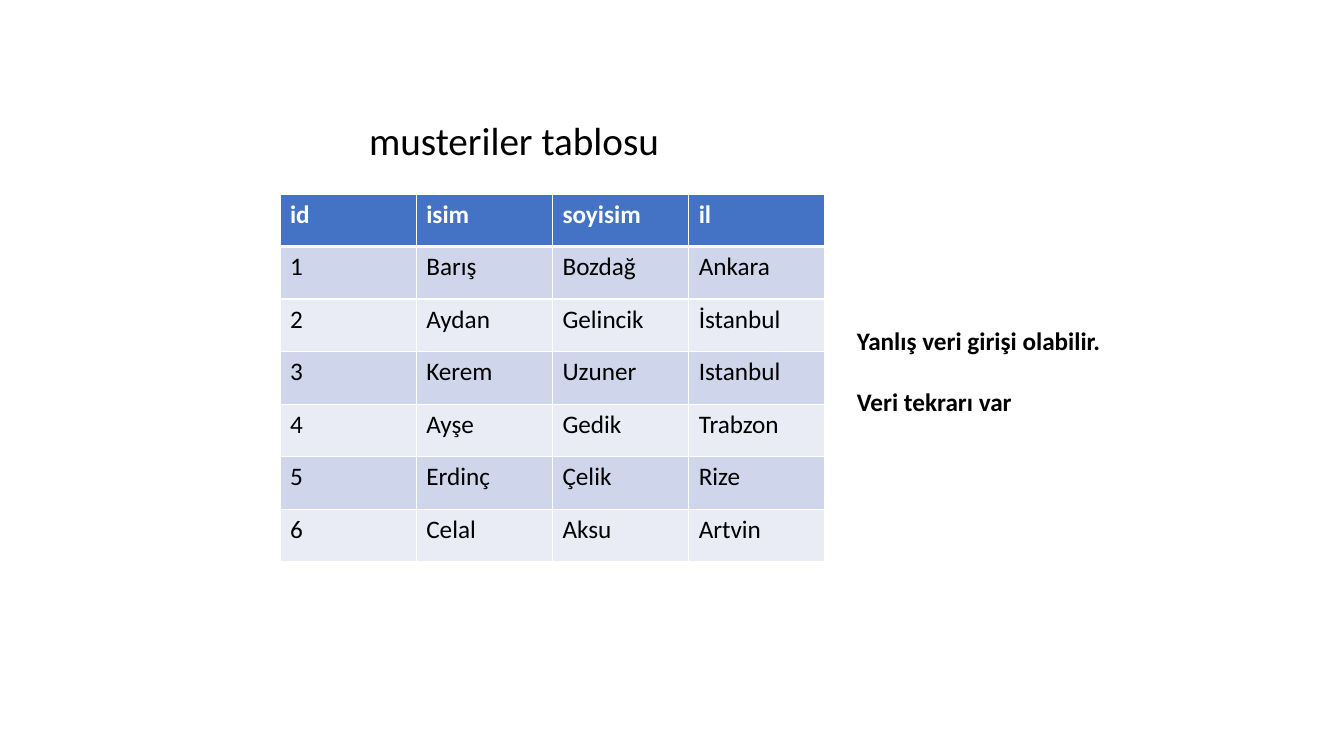
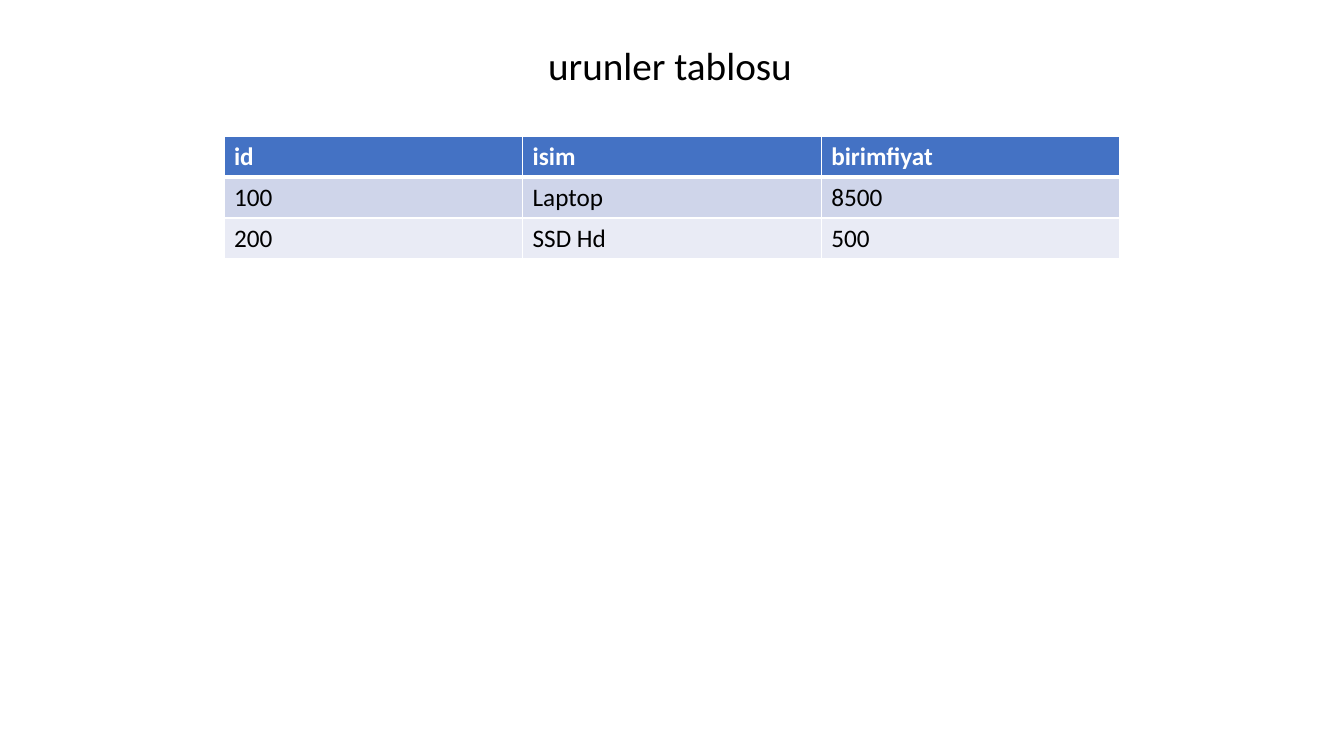
from pptx import Presentation
from pptx.dml.color import RGBColor
from pptx.enum.text import MSO_ANCHOR, MSO_AUTO_SIZE, PP_ALIGN
from pptx.oxml import parse_xml
from pptx.oxml.ns import nsdecls
from pptx.util import Pt

SLIDE_WIDTH, SLIDE_HEIGHT = 1344, 756
EMU_PER_PX = 12192000 / SLIDE_WIDTH
FONT = "Calibri"
BLACK, WHITE, HEADER_BLUE = "000000", "FFFFFF", "4472C4"
BANDS = ["CFD5EA", "E9EBF5"]

TABLE_SLIDES = [
    {
        "title": "musteriler tablosu",
        "title_box": (359, 111, 314, 58),
        "table_box": (280, 194, 545, 368),
        "rows": [
            ["id", "isim", "soyisim", "il"],
            ["1", "Barış", "Bozdağ", "Ankara"],
            ["2", "Aydan", "Gelincik", "İstanbul"],
            ["3", "Kerem", "Uzuner", "Istanbul"],
            ["4", "Ayşe", "Gedik", "Trabzon"],
            ["5", "Erdinç", "Çelik", "Rize"],
            ["6", "Celal", "Aksu", "Artvin"],
        ],
        "notes_box": (847, 320, 416, 102),
        "remarks": ["Yanlış veri girişi olabilir.", "Veri tekrarı var"],
    },
    {
        "title": "urunler tablosu",
        "title_box": (538, 36, 267, 58),
        "table_box": (224, 136, 896, 123),
        "rows": [
            ["id", "isim", "birimfiyat"],
            ["100", "Laptop", "8500"],
            ["200", "SSD Hd", "500"],
        ],
        "remarks": [],
    },
]


def px(*lengths):
    return [round(length * EMU_PER_PX) for length in lengths]


def style_font(paragraph, size, color=BLACK, bold=False):
    font = paragraph.font
    font.name, font.size, font.bold = FONT, Pt(size), bold
    font.color.rgb = RGBColor.from_string(color)


deck = Presentation()
deck.slide_width, deck.slide_height = px(SLIDE_WIDTH, SLIDE_HEIGHT)
title_only = deck.slide_layouts[5]

for content in TABLE_SLIDES:
    slide = deck.slides.add_slide(title_only)

    title = slide.shapes.title
    title.left, title.top, title.width, title.height = px(*content["title_box"])
    title.text = content["title"]
    frame = title.text_frame
    frame.word_wrap = False
    frame.auto_size = MSO_AUTO_SIZE.SHAPE_TO_FIT_TEXT
    frame.vertical_anchor = MSO_ANCHOR.TOP
    frame.paragraphs[0].alignment = PP_ALIGN.LEFT
    style_font(frame.paragraphs[0], 28)

    rows = content["rows"]
    table = slide.shapes.add_table(len(rows), len(rows[0]), *px(*content["table_box"])).table
    for row_index, row in enumerate(rows):
        is_header = row_index == 0
        fill_color = HEADER_BLUE if is_header else BANDS[(row_index - 1) % 2]
        # The edge between the header and the first data row is thick.
        edge_widths = {"L": 1, "R": 1, "T": 3 if row_index == 1 else 1, "B": 3 if is_header else 1}
        for column_index, value in enumerate(row):
            cell = table.cell(row_index, column_index)
            cell.text = value
            style_font(cell.text_frame.paragraphs[0], 18, WHITE if is_header else BLACK, is_header)
            properties = cell._tc.get_or_add_tcPr()
            for side, width in edge_widths.items():
                properties.append(parse_xml(
                    f'<a:ln{side} {nsdecls("a")} w="{Pt(width)}"><a:solidFill>'
                    f'<a:srgbClr val="{WHITE}"/></a:solidFill></a:ln{side}>'))
            cell.fill.solid()
            cell.fill.fore_color.rgb = RGBColor.from_string(fill_color)

    if content["remarks"]:
        frame = slide.shapes.add_textbox(*px(*content["notes_box"])).text_frame
        frame.word_wrap = True
        for index, remark in enumerate(content["remarks"]):
            para = frame.add_paragraph() if index else frame.paragraphs[0]
            para.text = remark
            style_font(para, 18, bold=True)
            if index:
                para.space_before = Pt(22)

deck.save("out.pptx")
